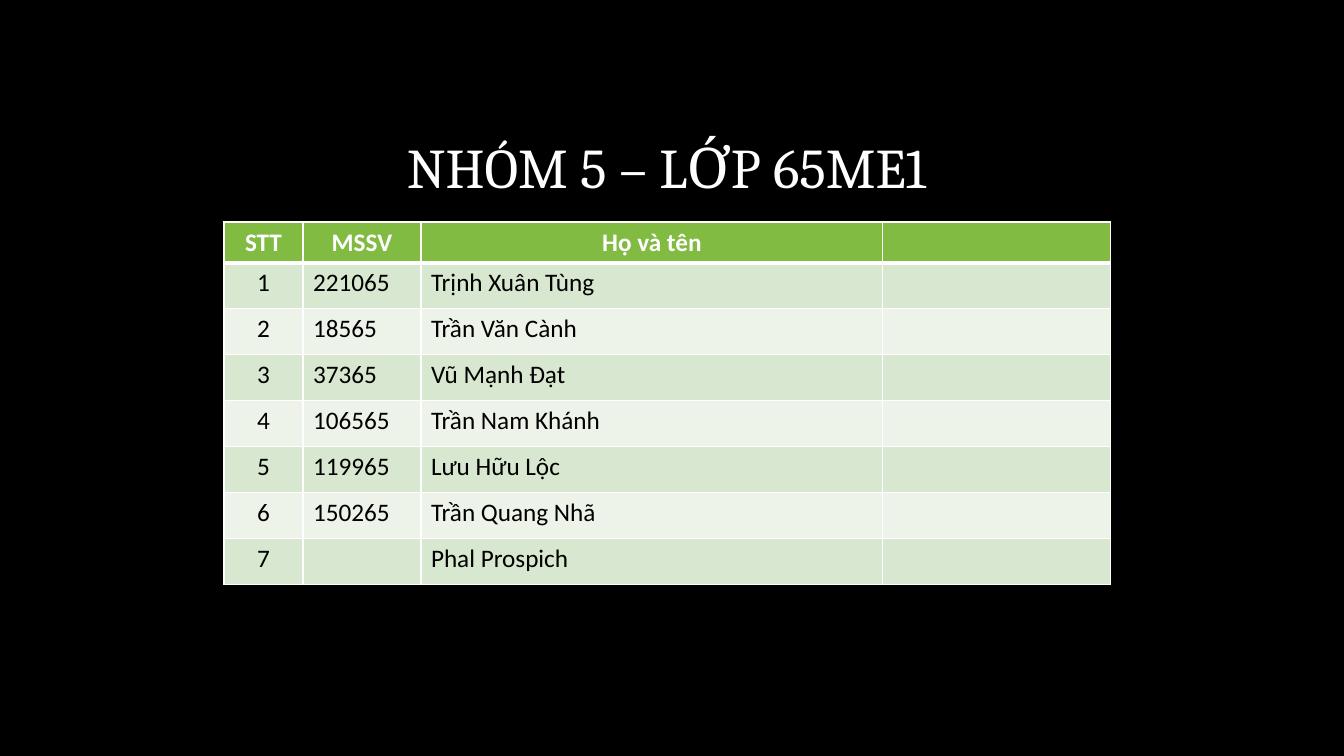
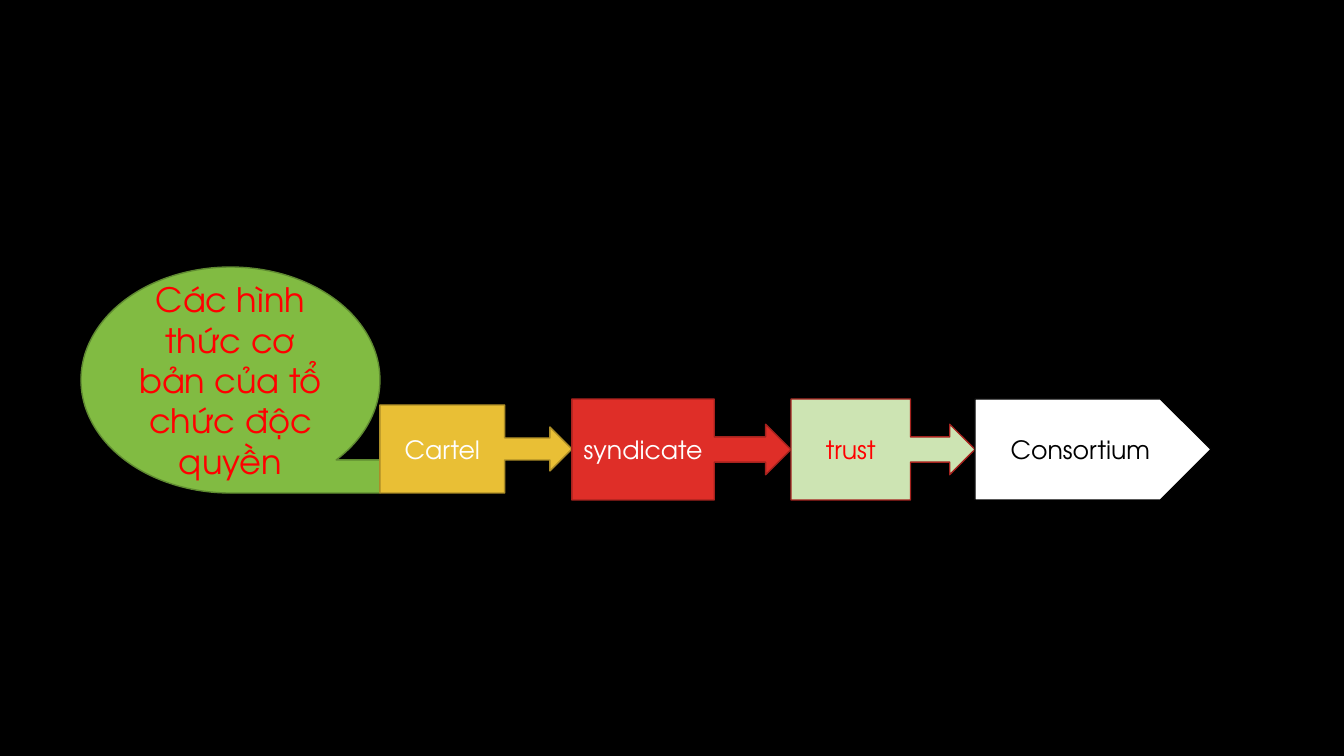
"""Build a class roster slide and a slide on the forms of monopoly organisation."""
from lxml import etree
from pptx import Presentation
from pptx.dml.color import RGBColor
from pptx.enum.shapes import MSO_SHAPE
from pptx.enum.text import MSO_ANCHOR, PP_ALIGN
from pptx.oxml.ns import qn
from pptx.util import Emu, Pt

PIXEL = 914400 / 100.8
SLIDE_WIDTH, SLIDE_HEIGHT = 1344, 756

BLACK = RGBColor(0x00, 0x00, 0x00)
WHITE = RGBColor(0xFF, 0xFF, 0xFF)
GREEN = RGBColor(0x81, 0xBB, 0x42)
DARK_GREEN = RGBColor(0x5F, 0x8A, 0x31)
PALE_GREEN = RGBColor(0xCD, 0xE4, 0xB3)
BAND_DARK = RGBColor(0xD8, 0xE7, 0xCF)
BAND_LIGHT = RGBColor(0xED, 0xF3, 0xE9)
YELLOW = RGBColor(0xE9, 0xBF, 0x35)
DARK_YELLOW = RGBColor(0xAC, 0x8D, 0x27)
RED = RGBColor(0xDF, 0x2E, 0x28)
DARK_RED = RGBColor(0xA5, 0x22, 0x1E)
BRIGHT_RED = RGBColor(0xFF, 0x00, 0x00)

CENTER, LEFT = PP_ALIGN.CENTER, PP_ALIGN.LEFT
MIDDLE = MSO_ANCHOR.MIDDLE
TAPE = MSO_SHAPE.FLOWCHART_SEQUENTIAL_ACCESS_STORAGE
CALLOUT = MSO_SHAPE.RIGHT_ARROW_CALLOUT
PENTAGON = MSO_SHAPE.PENTAGON

TITLE_FONT = {"name": "Cambria", "size": Pt(40)}
TITLE_PARAGRAPH = {"alignment": CENTER, "line_spacing": 0.9, "space_before": Pt(10)}
HEADER_FONT = {"name": "Calibri", "size": Pt(18), "bold": True}
BODY_FONT = {"name": "Calibri", "size": Pt(18), "bold": False}
TOPIC_FONT = {"name": "TeX Gyre Adventor", "size": Pt(24)}
FORM_FONT = {"name": "TeX Gyre Adventor", "size": Pt(18)}

COLUMN_WIDTHS = (79, 118, 462, 228)
HEADER_HEIGHT, ROW_HEIGHT = 40, 46
HEADINGS = ("STT", "MSSV", "Họ và tên", "")
STUDENTS = (
    ("221065", "Trịnh Xuân Tùng"),
    ("18565", "Trần Văn Cành"),
    ("37365", "Vũ Mạnh Đạt"),
    ("106565", "Trần Nam Khánh"),
    ("119965", "Lưu Hữu Lộc"),
    ("150265", "Trần Quang Nhã"),
    ("", "Phal Prospich"),
)

TOPIC = "Các hình thức cơ bản của tổ chức độc quyền"
CHAIN_LEFT = 81
CHAIN = (
    (TAPE, TOPIC, 267, 299, 226, GREEN, DARK_GREEN, BRIGHT_RED, TOPIC_FONT),
    (CALLOUT, "Cartel", 405, 192, 88, YELLOW, DARK_YELLOW, WHITE, FORM_FONT),
    (CALLOUT, "syndicate", 399, 219, 101, RED, DARK_RED, WHITE, FORM_FONT),
    (CALLOUT, "trust", 399, 184, 101, PALE_GREEN, DARK_RED, BRIGHT_RED, FORM_FONT),
    (PENTAGON, "Consortium", 399, 236, 101, WHITE, BLACK, BLACK, FORM_FONT),
)


def px(length):
    """Convert picture pixels to EMU."""
    return Emu(round(length * PIXEL))


def apply(target, values):
    """Set each named attribute on the target."""
    for name, value in values.items():
        setattr(target, name, value)


def write(text_frame, text, font, color, paragraph_format):
    """Put one formatted paragraph into a text frame."""
    paragraph = text_frame.paragraphs[0]
    apply(paragraph, paragraph_format)
    run = paragraph.add_run()
    run.text = text
    apply(run.font, font)
    run.font.color.rgb = color


def set_borders(cell, widths):
    """Draw white borders of the given point widths around a cell."""
    properties = cell._tc.get_or_add_tcPr()
    for index, (side, width) in enumerate(widths.items()):
        line = etree.Element(qn(f"a:ln{side}"), w=str(Pt(width)))
        fill = etree.SubElement(line, qn("a:solidFill"))
        etree.SubElement(fill, qn("a:srgbClr"), val=str(WHITE))
        properties.insert(index, line)


def add_title(slide, text, left, top, width, height):
    """Add a centred white title."""
    box = slide.shapes.add_textbox(px(left), px(top), px(width), px(height))
    box.text_frame.word_wrap = True
    write(box.text_frame, text, TITLE_FONT, WHITE, TITLE_PARAGRAPH)


def add_roster(slide, left, top):
    """Add the banded table of numbered students."""
    rows = [HEADINGS]
    rows += [(str(number), *student, "") for number, student in enumerate(STUDENTS, 1)]
    heights = [HEADER_HEIGHT] + [ROW_HEIGHT] * len(STUDENTS)
    table = slide.shapes.add_table(
        len(rows), len(COLUMN_WIDTHS), px(left), px(top),
        px(sum(COLUMN_WIDTHS)), px(sum(heights))).table
    apply(table, {"first_row": False, "horz_banding": False})
    for column, width in zip(table.columns, COLUMN_WIDTHS):
        column.width = px(width)
    for row_index, texts in enumerate(rows):
        table.rows[row_index].height = px(heights[row_index])
        header = row_index == 0
        band = GREEN if header else BAND_DARK if row_index % 2 else BAND_LIGHT
        font, color = (HEADER_FONT, WHITE) if header else (BODY_FONT, BLACK)
        borders = {"L": 1, "R": 1, "T": 3 if row_index == 1 else 1, "B": 3 if header else 1}
        for column_index, text in enumerate(texts):
            cell = table.cell(row_index, column_index)
            cell.fill.solid()
            cell.fill.fore_color.rgb = band
            set_borders(cell, borders)
            if text:
                alignment = CENTER if header or column_index == 0 else LEFT
                write(cell.text_frame, text, font, color, {"alignment": alignment})


def add_block(slide, kind, text, left, top, width, height, fill, line, color, font):
    """Add one filled shape with centred text."""
    shape = slide.shapes.add_shape(kind, px(left), px(top), px(width), px(height))
    shape.shadow.inherit = False
    shape.fill.solid()
    shape.fill.fore_color.rgb = fill
    shape.line.color.rgb = line
    shape.line.width = Pt(1)
    apply(shape.text_frame, {"word_wrap": True, "vertical_anchor": MIDDLE})
    write(shape.text_frame, text, font, color, {"alignment": CENTER})


def add_chain(slide):
    """Add the blocks so that each starts where the one before ends."""
    left = CHAIN_LEFT
    for kind, text, top, width, height, *style in CHAIN:
        add_block(slide, kind, text, left, top, width, height, *style)
        left += width


def main():
    """Build and save both slides."""
    presentation = Presentation()
    presentation.slide_width = px(SLIDE_WIDTH)
    presentation.slide_height = px(SLIDE_HEIGHT)
    background = presentation.slide_master.background.fill
    background.solid()
    background.fore_color.rgb = BLACK
    blank = presentation.slide_layouts[6]

    roster_slide = presentation.slides.add_slide(blank)
    add_roster(roster_slide, 224, 222)
    add_title(roster_slide, "NHÓM 5 – LỚP 65ME1", 222, 135, 889, 76)

    forms_slide = presentation.slides.add_slide(blank)
    add_chain(forms_slide)

    presentation.save("out.pptx")


main()
